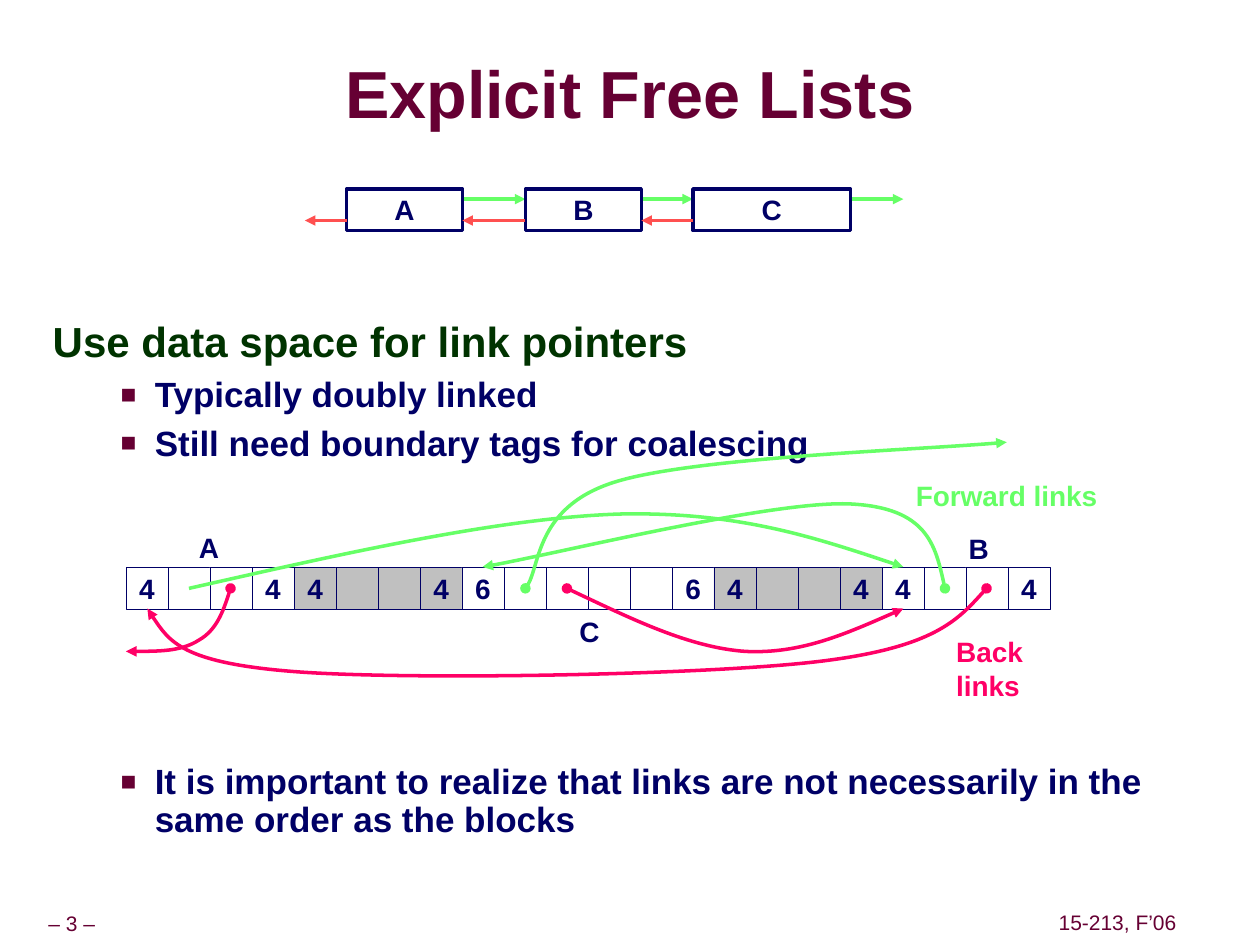
from lxml import etree
from pptx import Presentation
from pptx.dml.color import RGBColor
from pptx.enum.shapes import MSO_CONNECTOR, MSO_SHAPE
from pptx.enum.text import MSO_ANCHOR, PP_ALIGN
from pptx.oxml.ns import qn
from pptx.util import Inches, Pt

RECTANGLE, STRAIGHT = MSO_SHAPE.RECTANGLE, MSO_CONNECTOR.STRAIGHT
TOP, MIDDLE = MSO_ANCHOR.TOP, MSO_ANCHOR.MIDDLE
LEFT, CENTER = PP_ALIGN.LEFT, PP_ALIGN.CENTER

MAROON = RGBColor(0x66, 0x00, 0x33)
DARK_GREEN = RGBColor(0x00, 0x33, 0x00)
NAVY = RGBColor(0x00, 0x00, 0x66)
LIME = RGBColor(0x66, 0xFF, 0x66)
CORAL = RGBColor(0xFF, 0x50, 0x50)
PINK = RGBColor(0xFF, 0x00, 0x66)
WHITE = RGBColor(0xFF, 0xFF, 0xFF)
GRAY = RGBColor(0xC0, 0xC0, 0xC0)
SHADOW = "969696"

# Content
TITLE = "Explicit Free Lists"
HEADING = "Use data space for link pointers"
TOP_BULLETS = ["Typically doubly linked", "Still need boundary tags for coalescing"]
LAST_BULLET = ("It is important to realize that links are not necessarily "
               "in the same order as the blocks")
FOOTERS = [("– 3 –", 0, 7.2, 1.14), ("15-213, F’06", 8.35, 7.19, 1.04)]

LIST_NODES = [("A", 2.75, 0.92), ("B", 4.17, 0.92), ("C", 5.5, 1.25)]  # name, left, width
LIST_START, LIST_END = 2.42, 7.17
NODE_TOP, FORWARD_Y, BACK_Y = 1.5, 1.58, 1.75

HEAP_BLOCKS = [(4, WHITE), (4, GRAY), (6, WHITE), (4, GRAY), (4, WHITE)]  # words, fill
HEAP_LEFT, HEAP_TOP, CELL = 1, 4.5, 1 / 3

LABELS = [("Forward links", 7.17, 3.75, 1.64, LIME), ("Back links", 7.49, 4.99, 1.29, PINK),
          ("A", 1.48, 4.16, 0.36, NAVY), ("B", 7.59, 4.17, 0.36, NAVY),
          ("C", 4.5, 4.83, 0.36, NAVY)]

# Colour, dot at the start, then the start point and three points per Bezier segment
LINK_CURVES = [
    (LIME, False, [(1.5, 4.67), (2.74, 4.39), (3.97, 4.11), (4.92, 4.08),
                   (5.86, 4.06), (6.51, 4.28), (7.17, 4.5)]),
    (LIME, True, [(7.5, 4.67), (7.43, 4.35), (7.36, 4.03), (6.75, 4),
                  (6.14, 3.97), (4.32, 4.42), (3.83, 4.5)]),
    (PINK, True, [(7.83, 4.67), (7.62, 4.9), (7.42, 5.14), (6.5, 5.25), (5.58, 5.36),
                  (3.22, 5.4), (2.33, 5.33), (1.44, 5.26), (1.31, 5.05), (1.17, 4.83)]),
    (PINK, True, [(4.5, 4.67), (4.99, 4.9), (5.47, 5.14), (5.92, 5.17),
                  (6.36, 5.19), (6.76, 5.01), (7.17, 4.83)]),
    (LIME, True, [(4.17, 4.67), (4.29, 4.53), (4.26, 4.01), (4.9, 3.82),
                  (5.54, 3.63), (7.35, 3.57), (7.99, 3.51)]),
    (PINK, True, [(1.83, 4.67), (1.78, 4.83), (1.72, 5), (1.58, 5.08),
                  (1.44, 5.17), (1.22, 5.17), (1, 5.17)]),
]

presentation = Presentation()
presentation.slide_width, presentation.slide_height = Inches(10), Inches(7.5)
slide = presentation.slides.add_slide(presentation.slide_layouts[6])
shapes = slide.shapes


def set_frame(frame, anchor, wrap, side=0.1, edge=0.05):
    frame.word_wrap = wrap
    frame.vertical_anchor = anchor
    frame.margin_left = frame.margin_right = Inches(side)
    frame.margin_top = frame.margin_bottom = Inches(edge)


def write(paragraph, text, size, color, bold=True, align=LEFT, spacing=1.0, before=0):
    paragraph.alignment = align
    paragraph.line_spacing = spacing
    paragraph.space_before = Pt(before)
    run = paragraph.add_run()
    run.text = text
    font = run.font
    font.name, font.size, font.bold = "Arial", Pt(size), bold
    font.color.rgb = color
    return run


def add_text_frame(left, top, width, height, anchor=TOP, wrap=False, side=0.1, edge=0.05):
    box = shapes.add_textbox(Inches(left), Inches(top), Inches(width), Inches(height))
    set_frame(box.text_frame, anchor, wrap, side, edge)
    return box.text_frame


def write_bullet(paragraph, text, before):
    properties = paragraph._p.get_or_add_pPr()
    properties.set("marL", str(Inches(0.81)))
    properties.set("indent", str(Inches(-0.27)))
    color = etree.SubElement(properties, qn("a:buClr"))
    etree.SubElement(color, qn("a:srgbClr"), val=str(MAROON))
    etree.SubElement(properties, qn("a:buSzPct"), val="75000")
    etree.SubElement(properties, qn("a:buFont"), typeface="Arial")
    etree.SubElement(properties, qn("a:buChar"), char="■")
    write(paragraph, text, 20, NAVY, spacing=0.9, before=before)


def add_box(text, left, top, width, height, fill, line_width):
    box = shapes.add_shape(RECTANGLE, Inches(left), Inches(top), Inches(width), Inches(height))
    box.shadow.inherit = False
    box.fill.solid()
    box.fill.fore_color.rgb = fill
    box.line.color.rgb = NAVY
    box.line.width = Pt(line_width)
    if text:
        set_frame(box.text_frame, MIDDLE, False)
        write(box.text_frame.paragraphs[0], text, 16, NAVY, align=CENTER)


def style_link(link, color, dot=False):
    link.line.color.rgb = color
    link.line.width = Pt(2)
    line = link._element.spPr.find(qn("a:ln"))
    if dot:
        etree.SubElement(line, qn("a:headEnd"), type="oval")
    etree.SubElement(line, qn("a:tailEnd"), type="triangle")


def add_arrow(start, end, y, color):
    arrow = shapes.add_connector(STRAIGHT, Inches(start), Inches(y), Inches(end), Inches(y))
    style_link(arrow, color)
    etree.SubElement(arrow._element.spPr, qn("a:effectLst"))


def add_curve(color, dot, points):
    start, *rest = [(Inches(x), Inches(y)) for x, y in points]
    builder = shapes.build_freeform(*start)
    builder.add_line_segments(rest, close=False)
    curve = builder.convert_to_shape()
    # Regroup each three straight segments as one cubic Bezier
    outline = next(curve._element.iter(qn("a:path")))
    corners = outline.findall(qn("a:lnTo"))
    for first in range(0, len(corners), 3):
        bezier = etree.SubElement(outline, qn("a:cubicBezTo"))
        for corner in corners[first:first + 3]:
            bezier.append(corner[0])
            outline.remove(corner)
    curve.fill.background()
    curve.shadow.inherit = False
    style_link(curve, color, dot)


# Footers
for text, left, top, width in FOOTERS:
    frame = add_text_frame(left, top, width, 0.28, MIDDLE, side=0.05)
    write(frame.paragraphs[0], text, 12, MAROON, bold=False, align=CENTER, spacing=0.9)

# Title with its text shadow
frame = add_text_frame(1.68, 0.46, 6.64, 0.63, MIDDLE, True, 0, 0)
title = write(frame.paragraphs[0], TITLE, 38, MAROON, align=CENTER, spacing=0.87)
effects = etree.Element(qn("a:effectLst"))
shadow = etree.SubElement(effects, qn("a:outerShdw"), dist=str(Inches(0.04)), dir="2700000")
etree.SubElement(shadow, qn("a:srgbClr"), val=SHADOW)
title.font._element.find(qn("a:solidFill")).addnext(effects)

# Body text above and below the heap
frame = add_text_frame(0.32, 2.52, 9.09, 1.3, wrap=True)
write(frame.paragraphs[0], HEADING, 24, DARK_GREEN, spacing=0.85)
for text in TOP_BULLETS:
    write_bullet(frame.add_paragraph(), text, 6.2)
frame = add_text_frame(0.32, 6.02, 9.09, 0.75, wrap=True)
write_bullet(frame.paragraphs[0], LAST_BULLET, 0)

# Doubly linked list
lefts = [left for _, left, _ in LIST_NODES]
rights = [left + width for _, left, width in LIST_NODES]
for start, end in zip(rights, lefts[1:] + [LIST_END]):
    add_arrow(start, end, FORWARD_Y, LIME)
for name, left, width in LIST_NODES:
    add_box(name, left, NODE_TOP, width, 0.33, WHITE, 2)
for start, end in zip(lefts, [LIST_START] + rights):
    add_arrow(start, end, BACK_Y, CORAL)

# Heap: each block carries its size in its first and last word
left = HEAP_LEFT
for words, fill in HEAP_BLOCKS:
    for word in range(words):
        tag = str(words) if word in (0, words - 1) else ""
        add_box(tag, left, HEAP_TOP, CELL, CELL, fill, 0.25)
        left += CELL

# Links between blocks, and labels
for color, dot, points in LINK_CURVES:
    add_curve(color, dot, points)
for text, left, top, width, color in LABELS:
    frame = add_text_frame(left, top, width, 0.37)
    write(frame.paragraphs[0], text, 16, color)

presentation.save("out.pptx")
